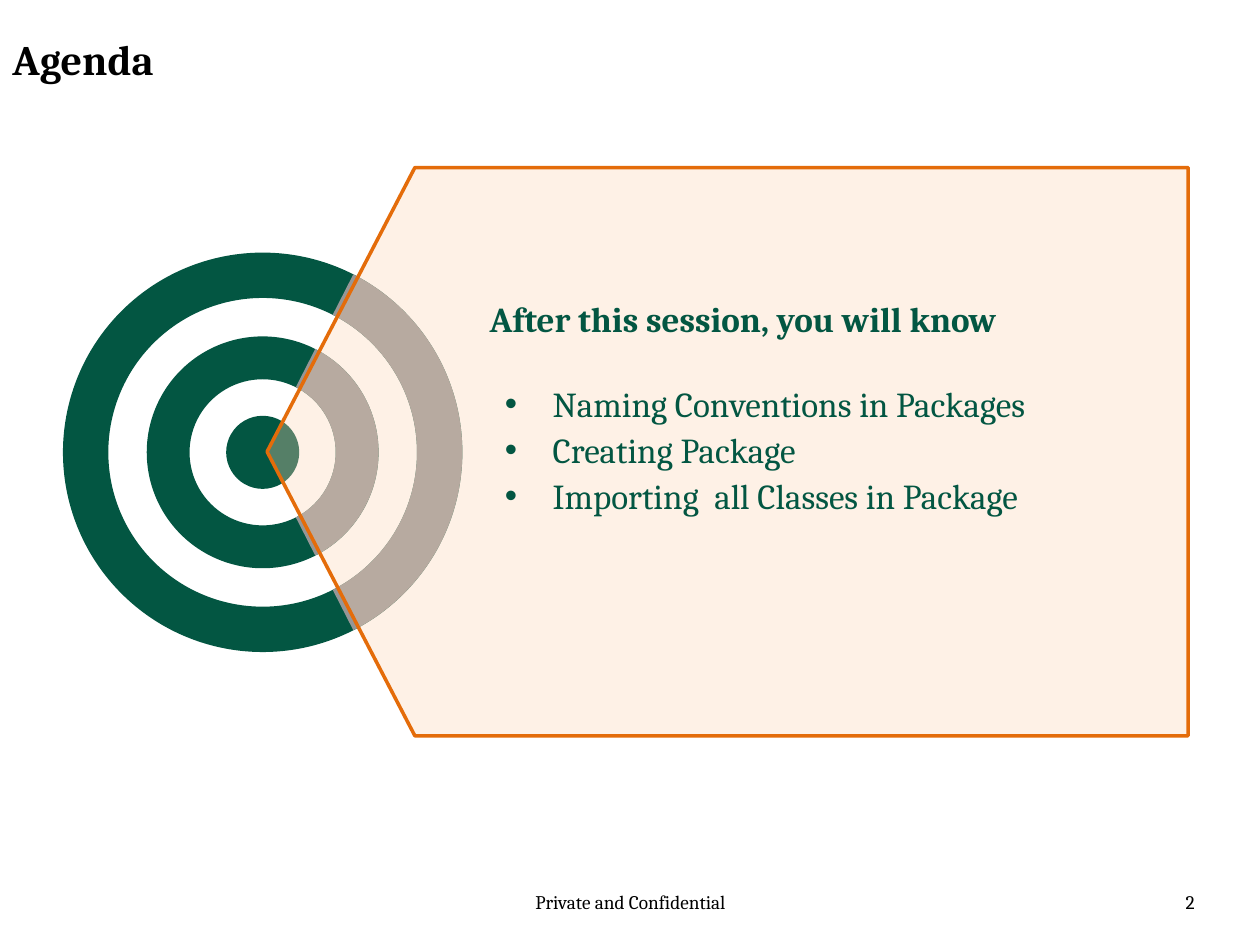
"""Build the agenda slide: a bullseye target with a pointed panel of session topics."""
import pptx
import pptx.util
import pptx.dml.color
import pptx.enum.shapes
import pptx.enum.text
import pptx.oxml.ns
import lxml.etree

THEME = {
    "font": "Cambria", "black": "000000", "green": "035642", "grey": "969696",
    "peach": "FCD5B5", "orange": "E46C0A",
    "title": 24, "body": 20, "footer": 11,
}
SHAPE = pptx.enum.shapes.MSO_SHAPE
ALIGN = pptx.enum.text.PP_ALIGN
rgb = pptx.dml.color.RGBColor.from_string
qn = pptx.oxml.ns.qn

prs = pptx.Presentation()
prs.slide_width, prs.slide_height = pptx.util.Inches(10), pptx.util.Inches(7.5)
U = prs.slide_width // 100
s = prs.slides.add_slide(prs.slide_layouts[6])


def add_filled(shapes, kind, left, top, width, height, color):
    sp = shapes.add_shape(kind, *(round(v * U) for v in (left, top, width, height)))
    sp.shadow.inherit = False
    sp.fill.solid()
    sp.fill.fore_color.rgb = rgb(THEME[color])
    sp.line.fill.background()
    return sp


def write(p, text, size, color, bold=False, align=ALIGN.LEFT):
    p.text = text
    p.alignment = align
    for r in p.runs:
        r.font.name = THEME["font"]
        r.font.size = pptx.util.Pt(THEME[size])
        r.font.color.rgb = rgb(THEME[color])
        r.font.bold = bold


for text, left, top, width, height, size, bold, align in (
    ("Private and Confidential", 34.2, 70.2, 31.7, 4, "footer", False, ALIGN.CENTER),
    ("2", 72.5, 70.2, 23.3, 4, "footer", False, ALIGN.RIGHT),
    ("Agenda", 0, 2.2, 75.9, 6.2, "title", True, ALIGN.LEFT),
):
    tf = s.shapes.add_textbox(*(round(v * U) for v in (left, top, width, height))).text_frame
    tf.word_wrap = True
    write(tf.paragraphs[0], text, size, "black", bold, align)

center_x, center_y, half_angle = 20.85, 35.9, 63
target = s.shapes.add_group_shape().shapes
add_filled(target, SHAPE.OVAL, center_x - 2.9, center_y - 2.9, 5.8, 5.8, "green")
for diameter, thickness in ((18.4, 3.4), (31.7, 3.6)):
    box = (center_x - diameter / 2, center_y - diameter / 2, diameter, diameter)
    ring = add_filled(target, SHAPE.DONUT, *box, "green")
    ring.adjustments[0] = thickness / diameter
    arc = add_filled(target, SHAPE.BLOCK_ARC, *box, "grey")
    arc.adjustments[0] = (360 - half_angle) * 0.6
    arc.adjustments[1] = half_angle * 0.6
    arc.adjustments[2] = thickness / diameter

panel = add_filled(s.shapes, SHAPE.PENTAGON, 21.2, 13.3, 73.1, 45.1, "peach")
panel.adjustments[0] = 0.26
panel._element.spPr.find(qn("a:xfrm")).set("flipH", "1")
color = panel._element.spPr.find(qn("a:solidFill"))[0]
lxml.etree.SubElement(color, qn("a:alpha")).set("val", "33000")
panel.line.color.rgb = rgb(THEME["orange"])
panel.line.width = pptx.util.Pt(2)

tf = panel.text_frame
tf.word_wrap = True
tf.vertical_anchor = pptx.enum.text.MSO_ANCHOR.MIDDLE
tf.margin_left, tf.margin_right = round(11.8 * U), round(0.8 * U)
tf.margin_top, tf.margin_bottom = 0, round(6.7 * U)
p = tf.paragraphs[0]
write(p, "After this session, you will know", "body", "green", True)
p.line_spacing = 0.9
p.space_after = pptx.util.Pt(22)
for topic in ("Naming Conventions in Packages", "Creating Package",
              "Importing  all Classes in Package"):
    p = tf.add_paragraph()
    write(p, topic, "body", "green")
    p.line_spacing = 1.1
    pPr = p._p.get_or_add_pPr()
    pPr.set("marL", str(5 * U))
    pPr.set("indent", str(round(-3.8 * U)))
    lxml.etree.SubElement(pPr, qn("a:buFont")).set("typeface", "Arial")
    lxml.etree.SubElement(pPr, qn("a:buChar")).set("char", "•")

prs.save("out.pptx")
